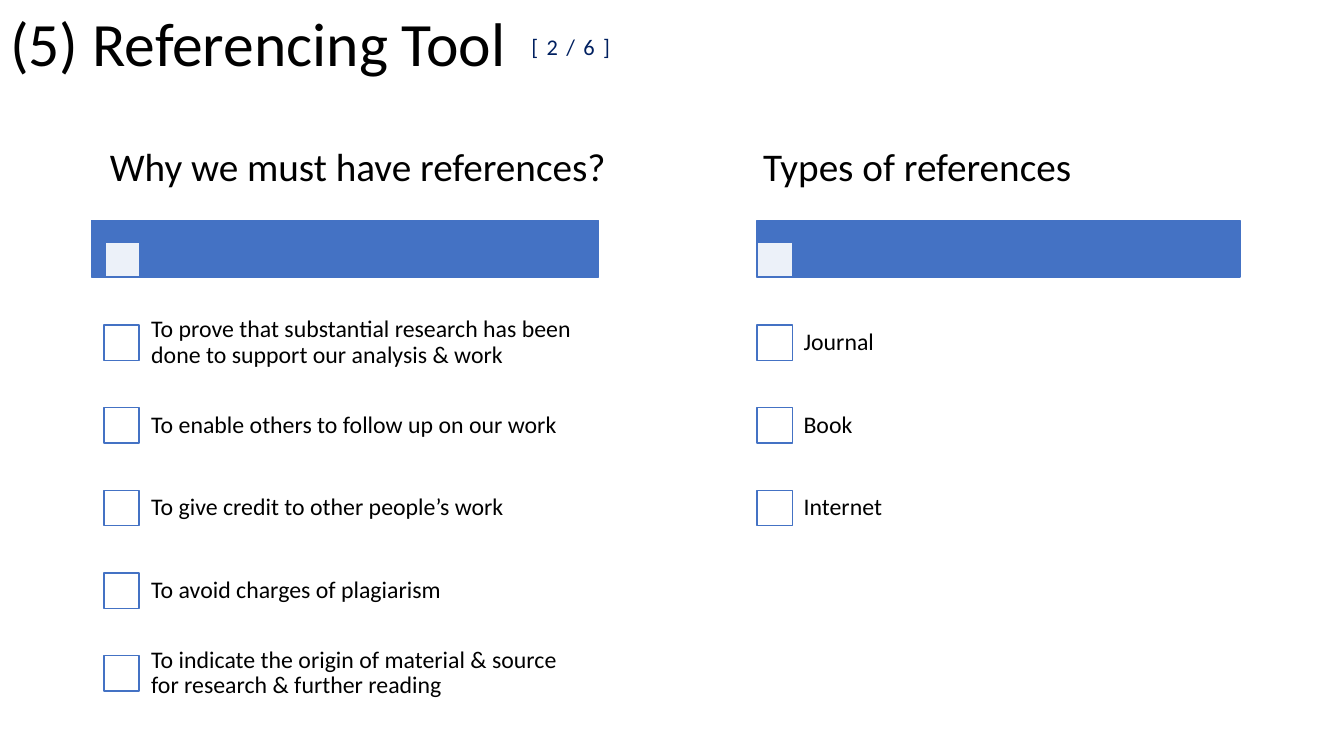
import pptx
import pptx.util
import pptx.dml.color
import pptx.enum.shapes
import pptx.enum.text
import pptx.oxml.ns
from lxml import etree
from pptx.util import Inches, Pt

COLOURS = {"text": "000000", "page": "002060", "accent": "4472C4", "box": "FFFFFF"}
FONT = "Calibri"
BOX_SIZE = 0.35
FIRST_ROW_TOP = 2.99
ROW_HEIGHT = 0.82
HEADING_INSETS = (0.06, 0.04)
ITEM_INSETS = (0.13, 0.13)

COLUMNS = [
    {
        "heading": "Why we must have references?",
        "heading_width": 6.24,
        "bar_left": 0.91,
        "bar_width": 5.03,
        "bar_box_left": 1.04,
        "left": 1.03,
        "item_left": 1.37,
        "items": [
            "To prove that substantial research has been done to support our analysis & work",
            "To enable others to follow up on our work",
            "To give credit to other people’s work",
            "To avoid charges of plagiarism",
            "To indicate the origin of material & source for research & further reading",
        ],
    },
    {
        "heading": "Types of references",
        "heading_width": 4.79,
        "bar_left": 7.51,
        "bar_width": 4.79,
        "bar_box_left": 7.51,
        "left": 7.51,
        "item_left": 7.84,
        "items": ["Journal", "Book", "Internet"],
    },
]


def rgb(name):
    return pptx.dml.color.RGBColor.from_string(COLOURS[name])


def format_paragraph(paragraph, size, colour="text", line_spacing=0.9):
    paragraph.font.name = FONT
    paragraph.font.size = Pt(size)
    paragraph.font.color.rgb = rgb(colour)
    paragraph.line_spacing = line_spacing


def add_rectangle(shapes, left, top, width, height, fill, opacity=None):
    """Add an accent-outlined rectangle; opacity is a percentage."""
    rectangle = shapes.add_shape(
        pptx.enum.shapes.MSO_SHAPE.RECTANGLE,
        Inches(left), Inches(top), Inches(width), Inches(height))
    rectangle.shadow.inherit = False
    rectangle.fill.solid()
    rectangle.fill.fore_color.rgb = rgb(fill)
    rectangle.line.color.rgb = rgb("accent")
    rectangle.line.width = Pt(1)
    if opacity is not None:
        colour = rectangle.fill._xPr.find(".//" + pptx.oxml.ns.qn("a:srgbClr"))
        etree.SubElement(colour, pptx.oxml.ns.qn("a:alpha"), val=str(opacity * 1000))


def add_label(shapes, text, left, top, width, height, size, insets):
    label = shapes.add_textbox(Inches(left), Inches(top), Inches(width), Inches(height))
    frame = label.text_frame
    frame.word_wrap = True
    frame.vertical_anchor = pptx.enum.text.MSO_ANCHOR.MIDDLE
    frame.margin_left = frame.margin_right = Inches(insets[0])
    frame.margin_top = frame.margin_bottom = Inches(insets[1])
    frame.text = text
    format_paragraph(frame.paragraphs[0], size)


def add_title(slide, text):
    title = slide.shapes.title
    title.left, title.top = Inches(0), Inches(0)
    title.width, title.height = Inches(11.5), Inches(0.93)
    frame = title.text_frame
    frame.text = text
    frame.auto_size = pptx.enum.text.MSO_AUTO_SIZE.NONE
    frame.vertical_anchor = pptx.enum.text.MSO_ANCHOR.MIDDLE
    frame.paragraphs[0].alignment = pptx.enum.text.PP_ALIGN.LEFT
    format_paragraph(frame.paragraphs[0], 44)


def add_page_counter(slide, text):
    counter = slide.shapes.add_textbox(
        Inches(5.08), Inches(0.28), Inches(1.07), Inches(0.37))
    frame = counter.text_frame
    frame.word_wrap = False
    frame.auto_size = pptx.enum.text.MSO_AUTO_SIZE.SHAPE_TO_FIT_TEXT
    paragraph = frame.paragraphs[0]
    paragraph.alignment = pptx.enum.text.PP_ALIGN.RIGHT
    format_paragraph(paragraph, 16, "page", 1.0)
    run = paragraph.add_run()
    run.text = text
    run.font._element.set("spc", "600")


def add_checklist(slide, column):
    """Add one column: heading, accent bar and a checkbox row per item."""
    shapes = slide.shapes.add_group_shape().shapes
    add_rectangle(shapes, column["bar_left"], 2.19, column["bar_width"], 0.56, "accent")
    add_rectangle(shapes, column["bar_box_left"], 2.4, BOX_SIZE, BOX_SIZE, "box", 90)
    add_label(shapes, column["heading"], column["left"], 1.17,
              column["heading_width"], 1.01, 28, HEADING_INSETS)
    for row, item in enumerate(column["items"]):
        top = FIRST_ROW_TOP + row * ROW_HEIGHT
        box_top = top + (ROW_HEIGHT - BOX_SIZE) / 2
        add_rectangle(shapes, column["left"], box_top, BOX_SIZE, BOX_SIZE, "box")
        add_label(shapes, item, column["item_left"], top, 4.46, ROW_HEIGHT,
                  17, ITEM_INSETS)


def main():
    presentation = pptx.Presentation()
    presentation.slide_width = Inches(13.33)
    presentation.slide_height = Inches(7.5)
    slide = presentation.slides.add_slide(presentation.slide_layouts[5])
    add_title(slide, "(5) Referencing Tool")
    add_page_counter(slide, "[2/6]")
    for column in COLUMNS:
        add_checklist(slide, column)
    presentation.save("out.pptx")


if __name__ == "__main__":
    main()
